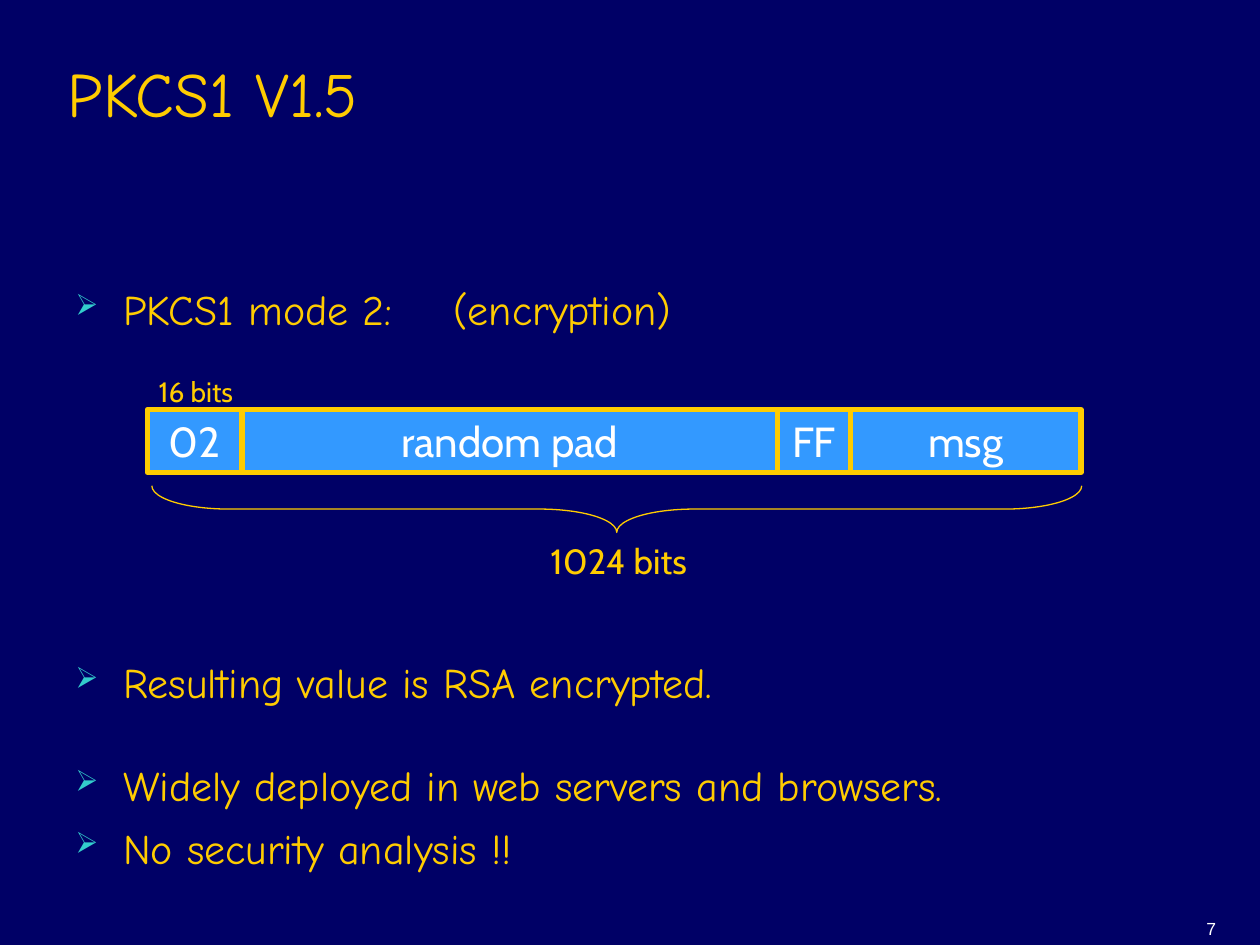
from lxml.etree import SubElement
from pptx import Presentation
from pptx.dml.color import RGBColor
from pptx.enum.shapes import MSO_SHAPE
from pptx.enum.text import MSO_ANCHOR, PP_ALIGN
from pptx.oxml.ns import qn
from pptx.util import Inches, Pt

GOLD = "FFCC00"
WHITE = "FFFFFF"


def rgb(value):
    return RGBColor.from_string(value)


def write(paragraph, text, size, font, color=GOLD, align=PP_ALIGN.LEFT):
    paragraph.alignment = align
    run = paragraph.add_run()
    run.text = text
    run.font.size = Pt(size)
    run.font.name = font
    run.font.color.rgb = rgb(color)


prs = Presentation()
prs.slide_width = Inches(10)
prs.slide_height = Inches(7.5)
slide = prs.slides.add_slide(prs.slide_layouts[6])
slide.background.fill.solid()
slide.background.fill.fore_color.rgb = rgb("000066")
shapes = slide.shapes

title = shapes.add_textbox(Inches(0.44), Inches(0.25), Inches(8.5), Inches(0.83)).text_frame
title.word_wrap = True
title.vertical_anchor = MSO_ANCHOR.BOTTOM
write(title.paragraphs[0], "PKCS1 V1.5", size=36, font="Comic Neue")

body = shapes.add_textbox(Inches(0.5), Inches(1.75), Inches(8.94), Inches(5.5)).text_frame
body.word_wrap = True
body.margin_top = Inches(0.5)
points = [
    ("PKCS1 mode 2:\t(encryption)", 0, 1),
    ("Resulting value is RSA encrypted.", 184.5, 1),
    ("Widely deployed in web servers and browsers.", 30, 1),
    ("No security analysis !!", 15, 0.7),
]
for index, (text, space_before, line_spacing) in enumerate(points):
    point = body.paragraphs[0] if index == 0 else body.add_paragraph()
    write(point, text, size=24, font="Comic Neue")
    point.space_before = Pt(space_before)
    point.line_spacing = line_spacing
    props = point._p.get_or_add_pPr()
    props.set("marL", str(Inches(0.38)))
    props.set("indent", str(-Inches(0.38)))
    bullet_color = SubElement(props, qn("a:buClr"))
    SubElement(bullet_color, qn("a:srgbClr"), val="33CCCC")
    SubElement(props, qn("a:buSzPct"), val="70000")
    SubElement(props, qn("a:buChar"), char="➢")
    tabs = SubElement(props, qn("a:tabLst"))
    for stop in range(1, 9):
        SubElement(tabs, qn("a:tab"), pos=str(Inches(stop)), algn="l")

left = 1.17
for text, width in [("02", 0.75), ("random pad", 4.25), ("FF", 0.58), ("msg", 1.83)]:
    field = shapes.add_shape(
        MSO_SHAPE.RECTANGLE, Inches(left), Inches(3.25), Inches(width), Inches(0.5))
    field.shadow.inherit = False
    field.fill.solid()
    field.fill.fore_color.rgb = rgb("3399FF")
    field.line.color.rgb = rgb(GOLD)
    field.line.width = Pt(3)
    field.text_frame.word_wrap = False
    field.text_frame.vertical_anchor = MSO_ANCHOR.MIDDLE
    write(field.text_frame.paragraphs[0], text, size=24, font="Cabin",
          color=WHITE, align=PP_ALIGN.CENTER)
    left += width

brace = shapes.add_shape(
    MSO_SHAPE.LEFT_BRACE, Inches(4.71), Inches(0.35), Inches(0.37), Inches(7.38))
brace.rotation = 270
brace.adjustments[0] = 1.65
brace.shadow.inherit = False
brace.fill.background()
brace.line.color.rgb = rgb(GOLD)
brace.line.width = Pt(0.75)

for text, size, left, top, width, height in [
    ("1024 bits", 20, 4.22, 4.23, 1.38, 0.44),
    ("16 bits", 16, 1.11, 2.92, 0.89, 0.37),
]:
    length = shapes.add_textbox(
        Inches(left), Inches(top), Inches(width), Inches(height)).text_frame
    length.word_wrap = False
    write(length.paragraphs[0], text, size=size, font="Cabin", align=PP_ALIGN.CENTER)

number = shapes.add_textbox(Inches(7.67), Inches(7), Inches(2.08), Inches(0.5)).text_frame
number.word_wrap = True
number.vertical_anchor = MSO_ANCHOR.BOTTOM
write(number.paragraphs[0], "7", size=10, font="Arial", color=WHITE, align=PP_ALIGN.RIGHT)

prs.save("out.pptx")
